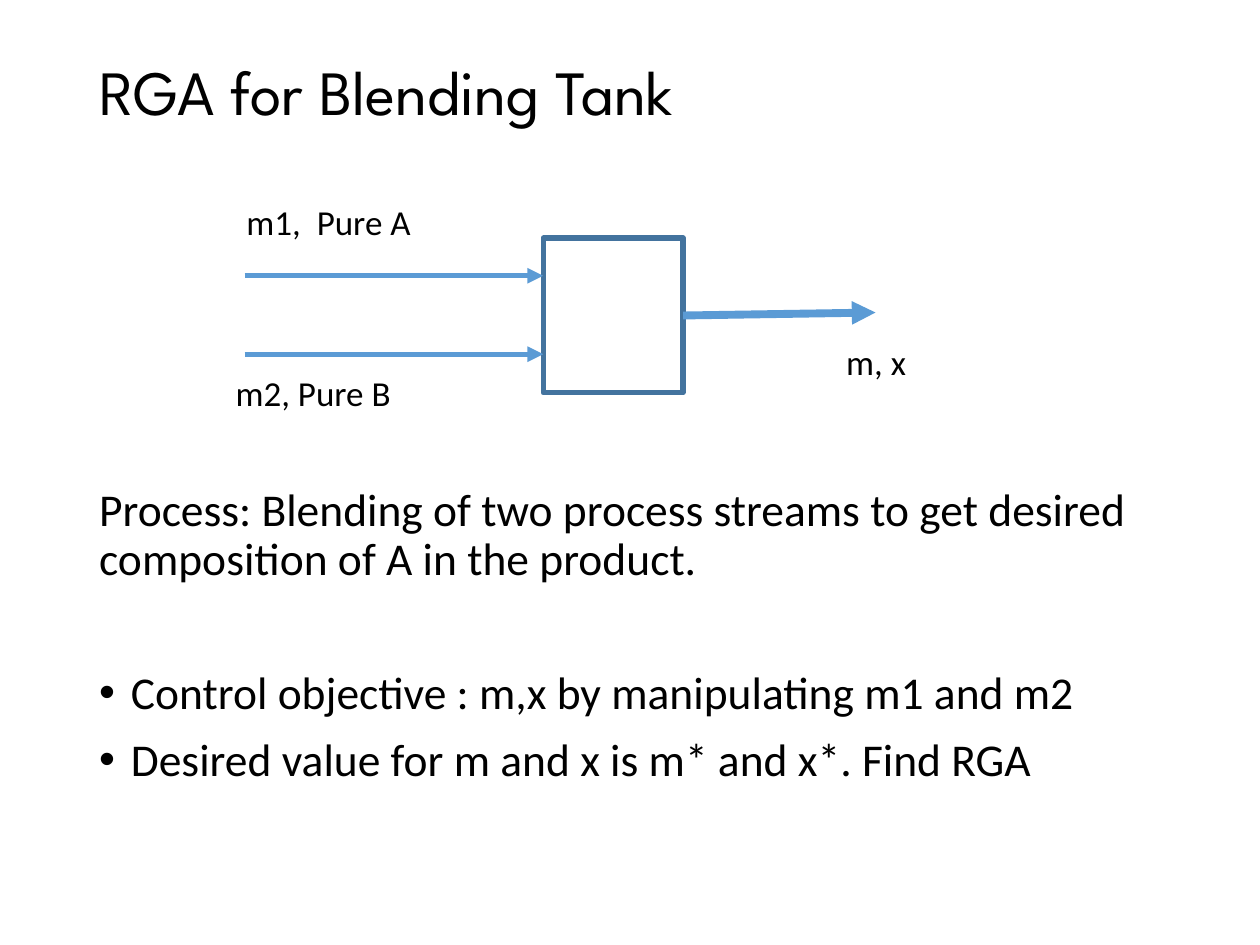
from lxml.etree import SubElement
from pptx import Presentation
from pptx.dml.color import RGBColor
from pptx.enum.shapes import MSO_CONNECTOR, MSO_SHAPE
from pptx.enum.text import MSO_ANCHOR, MSO_AUTO_SIZE, PP_ALIGN
from pptx.oxml.ns import qn
from pptx.util import Cm, Pt

COLOURS = {"text": "000000", "tank": "43739E", "stream": "5B9BD5"}
TITLE = "RGA for Blending Tank"
# text, bulleted, space before in points
BODY = [
    ("Process: Blending of two process streams to get desired composition of A in the product.", False, 0),
    ("Control objective : m,x by manipulating m1 and m2", True, 48.5),
    ("Desired value for m and x is m* and x*. Find RGA", True, 10),
]
TANK = (10.95, 4.8, 2.82, 3.12)
INLET_START = 4.93
TANK_LEFT, TANK_RIGHT = TANK[0], TANK[0] + TANK[2]
STREAMS = [
    ((INLET_START, 5.56), (TANK_LEFT, 5.56), 3),
    ((INLET_START, 7.14), (TANK_LEFT, 7.14), 3),
    ((TANK_RIGHT, 6.36), (17.65, 6.3), 4.5),
]
LABELS = [
    ("m1,  Pure A", (4.72, 3.91, 3.86, 1.12)),
    ("m2, Pure B", (4.5, 7.37, 3.66, 1.12)),
    ("m, x", (16.81, 6.73, 1.73, 1.12)),
]
MARGIN, CONTENT_WIDTH = 1.75, 21.9


def colour(name):
    """Return the named palette colour."""
    return RGBColor.from_string(COLOURS[name])


def set_font(paragraph, size, face="Calibri"):
    """Give a paragraph its font."""
    font = paragraph.font
    font.name, font.size = face, Pt(size)
    font.color.rgb = colour("text")


def add_title(page):
    """Fill and place the title placeholder."""
    title = page.shapes.title
    title.left, title.top = Cm(MARGIN), Cm(1.02)
    title.width, title.height = Cm(CONTENT_WIDTH), Cm(1.8)
    title.text_frame.text = TITLE
    title.text_frame.vertical_anchor = MSO_ANCHOR.MIDDLE
    title.text_frame.auto_size = MSO_AUTO_SIZE.NONE
    paragraph = title.text_frame.paragraphs[0]
    paragraph.alignment = PP_ALIGN.LEFT
    paragraph.line_spacing = 0.9
    set_font(paragraph, 36, "League Spartan")


def add_body(page):
    """Add the process description and its bullets."""
    box = page.shapes.add_textbox(Cm(MARGIN), Cm(9.7), Cm(CONTENT_WIDTH), Cm(7.45))
    frame = box.text_frame
    frame.word_wrap = True
    for index, (text, bulleted, space) in enumerate(BODY):
        paragraph = frame.add_paragraph() if index else frame.paragraphs[0]
        paragraph.text = text
        paragraph.line_spacing = 0.9
        paragraph.space_before = Pt(space)
        if bulleted:
            properties = paragraph._p.get_or_add_pPr()
            properties.set("marL", str(Cm(0.64)))
            properties.set("indent", str(-Cm(0.64)))
            SubElement(properties, qn("a:buFont"), typeface="Arial")
            SubElement(properties, qn("a:buChar"), char="•")
        set_font(paragraph, 26)


def add_tank(page):
    """Add the outlined tank."""
    tank = page.shapes.add_shape(MSO_SHAPE.RECTANGLE, *map(Cm, TANK))
    tank.shadow.inherit = False
    tank.fill.background()
    tank.line.color.rgb = colour("tank")
    tank.line.width = Pt(3)


def add_stream(page, start, end, weight):
    """Add an arrow for a process stream."""
    arrow = page.shapes.add_connector(MSO_CONNECTOR.STRAIGHT, *map(Cm, start + end))
    arrow.line.color.rgb = colour("stream")
    arrow.line.width = Pt(weight)
    SubElement(arrow.line._get_or_add_ln(), qn("a:tailEnd"), type="triangle")
    SubElement(arrow._element.spPr, qn("a:effectLst"))


def add_label(page, text, place):
    """Add an unwrapped stream label."""
    frame = page.shapes.add_textbox(*map(Cm, place)).text_frame
    frame.word_wrap = False
    frame.auto_size = MSO_AUTO_SIZE.SHAPE_TO_FIT_TEXT
    frame.text = text
    set_font(frame.paragraphs[0], 20)


def main():
    """Build and save the slide."""
    deck = Presentation()
    deck.slide_width, deck.slide_height = Cm(25.4), Cm(19.05)
    page = deck.slides.add_slide(deck.slide_layouts[5])
    add_title(page)
    add_body(page)
    add_tank(page)
    for stream in STREAMS:
        add_stream(page, *stream)
    for label in LABELS:
        add_label(page, *label)
    deck.save("out.pptx")


if __name__ == "__main__":
    main()
